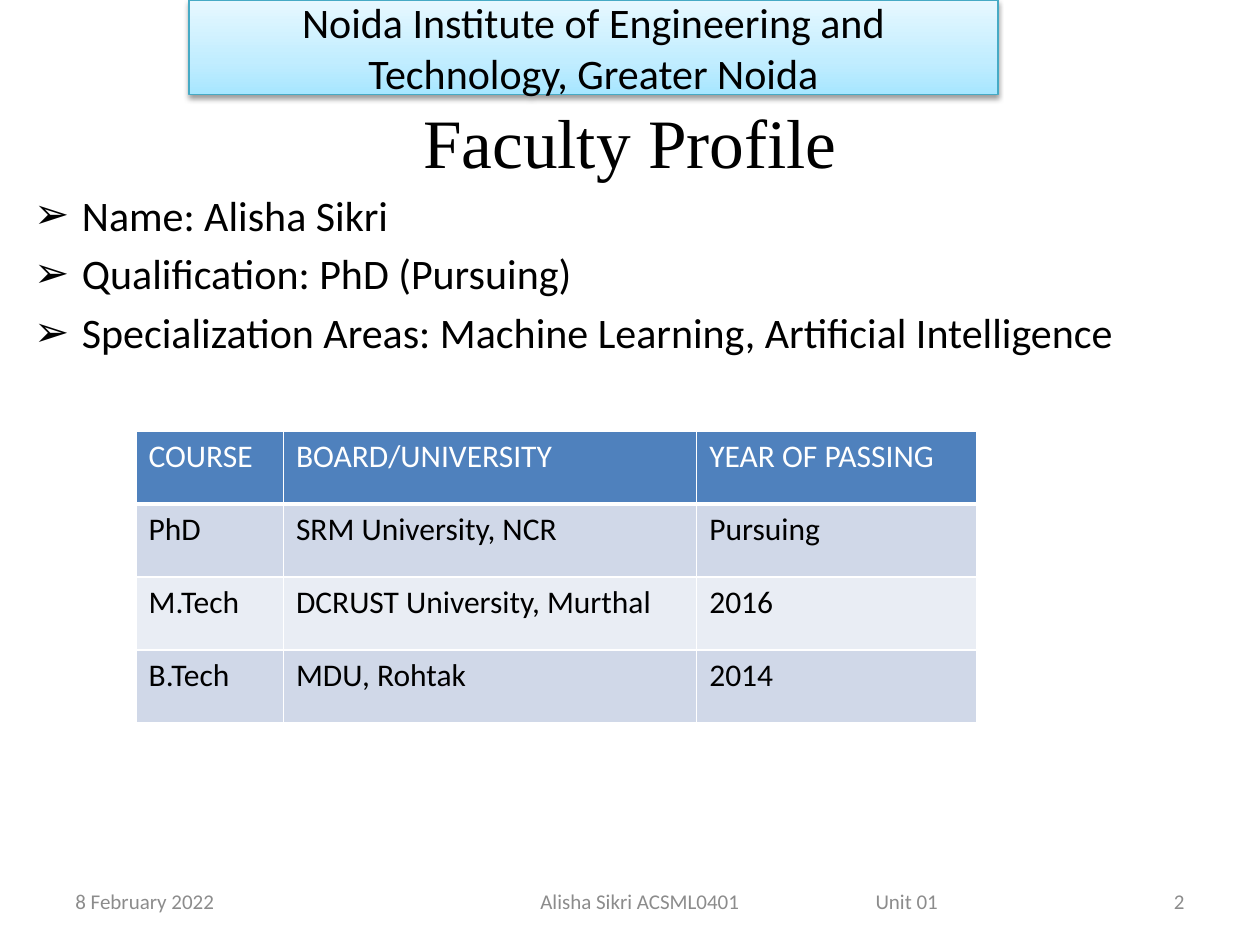
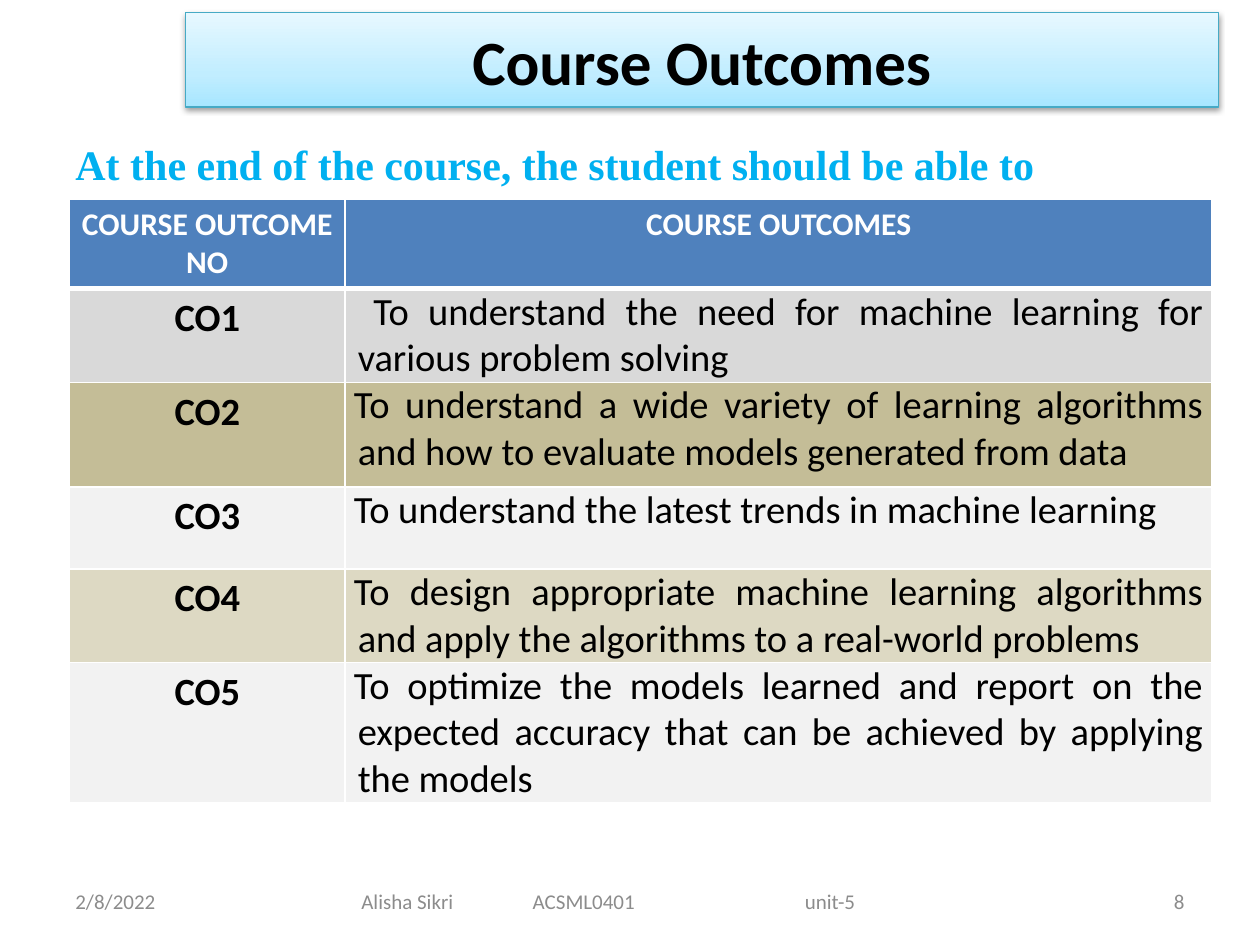
from pptx import Presentation
from pptx.dml.color import RGBColor
from pptx.enum.shapes import MSO_SHAPE
from pptx.enum.text import MSO_ANCHOR, MSO_AUTO_SIZE, PP_ALIGN
from pptx.oxml import parse_xml
from pptx.oxml.ns import nsdecls, qn
from pptx.util import Emu, Inches, Pt

LEFT, CENTER, RIGHT, JUSTIFY = PP_ALIGN.LEFT, PP_ALIGN.CENTER, PP_ALIGN.RIGHT, PP_ALIGN.JUSTIFY
TOP, MIDDLE, BOTTOM = MSO_ANCHOR.TOP, MSO_ANCHOR.MIDDLE, MSO_ANCHOR.BOTTOM
SANS, SERIF = "Calibri", "Times New Roman"

COLORS = {
    "black": "000000", "white": "FFFFFF", "footer": "8C8C8C", "lead": "00B0F0",
    "header": "4F81BD", "band_dark": "D0D8E8", "band_light": "E9EDF4",
    "gray": "D9D9D9", "tan": "C4BD97", "pale": "F2F2F2", "sand": "DDD9C3",
    "banner_line": "46AAC5",
}
BANNER_STOPS = [(0, "A7E6FF"), (35, "C1EDFF"), (100, "E7F8FF")]

INSTITUTE = "Noida Institute of Engineering and Technology, Greater Noida"
PROFILE_TITLE = "Faculty Profile"
PROFILE = [
    "Name: Alisha Sikri",
    "Qualification: PhD (Pursuing)",
    "Specialization Areas: Machine Learning, Artificial Intelligence",
]
DEGREES = [
    ("COURSE", "BOARD/UNIVERSITY", "YEAR OF PASSING"),
    ("PhD", "SRM University, NCR", "Pursuing"),
    ("M.Tech", "DCRUST University, Murthal", "2016"),
    ("B.Tech", "MDU, Rohtak", "2014"),
]
DEGREE_FILLS = ["header", "band_dark", "band_light", "band_dark"]

OUTCOMES_TITLE = "Course Outcomes"
OUTCOMES_LEAD = "At the end of the course, the student should be able to"
OUTCOMES = [
    ("COURSE OUTCOME NO", "COURSE OUTCOMES"),
    ("CO1", " To understand the need for machine learning for various problem solving"),
    ("CO2", "To understand a wide variety of learning algorithms and how to evaluate "
            "models generated from data"),
    ("CO3", "To understand the latest trends in machine learning"),
    ("CO4", "To design appropriate machine learning algorithms and apply the algorithms "
            "to a real-world problems"),
    ("CO5", "To optimize the models learned and report on the expected accuracy that can "
            "be achieved by applying the models"),
]
OUTCOME_FILLS = ["header", "gray", "tan", "pale", "sand", "pale"]

# Footer parts are (text, left edge in inches)
PROFILE_FOOTER = {"date": "8 February 2022", "number": "2", "box": (3.42, 4.92),
                  "parts": [("Alisha Sikri ACSML0401", 4.29), ("Unit 01", 6.95)]}
OUTCOMES_FOOTER = {"date": "2/8/2022", "number": "8", "box": (0.58, 8.5),
                   "parts": [("Alisha Sikri", 2.87), ("ACSML0401", 4.23), ("unit-5", 6.39)]}


def add_xml(parent, tag, attributes="", inner=""):
    element = parse_xml(f"<a:{tag} {nsdecls('a')} {attributes}>{inner}</a:{tag}>")
    parent.append(element)
    return element


def write(text_frame, lines, size=18, font=SANS, color="black", bold=False, align=LEFT,
          anchor=None, hanging=0, bullet=None, tabs=()):
    """Fill a text frame or table cell frame; hanging and tabs are in inches."""
    if anchor is not None:
        text_frame.word_wrap = True
        text_frame.auto_size = MSO_AUTO_SIZE.NONE
        text_frame.vertical_anchor = anchor
    for index, line in enumerate(lines):
        paragraph = text_frame.add_paragraph() if index else text_frame.paragraphs[0]
        paragraph.alignment = align
        run = paragraph.add_run()
        run.text = line
        run.font.size, run.font.name, run.font.bold = Pt(size), font, bold
        run.font.color.rgb = RGBColor.from_string(COLORS[color])
        properties = paragraph._p.get_or_add_pPr()
        if hanging:
            properties.set("marL", str(Inches(hanging)))
            properties.set("indent", str(-Inches(hanging)))
        if bullet:
            add_xml(properties, "buChar", f'char="{bullet}"')
        if tabs:
            stops = "".join(f'<a:tab pos="{Inches(tab)}" algn="l"/>' for tab in tabs)
            add_xml(properties, "tabLst", inner=stops)


def place(shape, left, top, width, height):
    shape.left, shape.top = Inches(left), Inches(top)
    shape.width, shape.height = Inches(width), Inches(height)


def add_text(slide, box, lines, **text_format):
    shape = slide.shapes.add_textbox(*map(Inches, box))
    write(shape.text_frame, lines, **text_format)


def style_banner(shape, text, **text_format):
    """Give a shape the light blue gradient, thin outline, soft shadow and centred text."""
    shape.line.color.rgb = RGBColor.from_string(COLORS["banner_line"])
    shape.line.width = Pt(0.75)
    shape.shadow.inherit = False
    properties = shape._element.spPr
    stops = "".join(f'<a:gs pos="{position * 1000}"><a:srgbClr val="{color}"/></a:gs>'
                    for position, color in BANNER_STOPS)
    gradient = add_xml(properties, "gradFill", 'rotWithShape="1"',
                       f'<a:gsLst>{stops}</a:gsLst><a:lin ang="16200000" scaled="0"/>')
    properties.find(qn("a:ln")).addprevious(gradient)
    add_xml(properties.find(qn("a:effectLst")), "outerShdw",
            f'blurRad="{Pt(3.1)}" dist="{Pt(1.6)}" dir="5400000" rotWithShape="0"',
            '<a:srgbClr val="000000"><a:alpha val="38000"/></a:srgbClr>')
    write(shape.text_frame, [text], align=CENTER, anchor=MIDDLE, **text_format)


def add_footer(slide, date, number, box, parts):
    left, width = box
    row = {"size": 12, "color": "footer", "anchor": MIDDLE}
    add_text(slide, (0.5, 6.95, 2.33, 0.4), [date], **row)
    add_text(slide, (left, 6.95, width, 0.4), ["".join("\t" + text for text, _ in parts)],
             tabs=[start - left - 0.1 for _, start in parts], **row)
    add_text(slide, (7.17, 6.95, 2.33, 0.4), [number], align=RIGHT, **row)


def add_grid(slide, position, rows, fills, widths, heights, cell_format):
    """Add a white-ruled table; cell_format(row, column) gives the text format of a cell."""
    table = slide.shapes.add_table(len(rows), len(widths), *map(Inches, position),
                                   Inches(sum(widths)), Inches(sum(heights))).table
    for column, width in zip(table.columns, widths):
        column.width = Inches(width)
    for row, height in zip(table.rows, heights):
        row.height = Inches(height)
    for row, texts in enumerate(rows):
        for column, text in enumerate(texts):
            cell = table.cell(row, column)
            properties = cell._tc.get_or_add_tcPr()
            for edge in ("lnL", "lnR", "lnT", "lnB"):
                weight = 3 if row == 0 and edge == "lnB" else 1
                add_xml(properties, edge, f'w="{Pt(weight)}"',
                        '<a:solidFill><a:srgbClr val="FFFFFF"/></a:solidFill>')
            cell.fill.solid()
            cell.fill.fore_color.rgb = RGBColor.from_string(COLORS[fills[row]])
            write(cell.text_frame, [text], **cell_format(row, column))
    return table


def degree_format(row, column):
    return {"color": "black" if row else "white"}


def outcome_format(row, column):
    if row == 0:
        return {"color": "white", "bold": True, "align": CENTER}
    if column == 0:
        return {"size": 22, "bold": True, "align": CENTER}
    return {"size": 22, "align": JUSTIFY, "hanging": 0.03}


def build_profile(presentation):
    slide = presentation.slides.add_slide(presentation.slide_layouts[1])
    title, body = slide.shapes.title, slide.placeholders[1]
    place(title, 0.5, 0.2, 9, 1.25)
    title.text_frame.margin_bottom = Emu(0)
    write(title.text_frame, [PROFILE_TITLE], size=39.6, font=SERIF, align=CENTER, anchor=BOTTOM)
    place(body, 0.17, 1.45, 9.67, 5.64)
    write(body.text_frame, PROFILE, size=24, align=JUSTIFY, anchor=TOP, hanging=0.38, bullet="➢")
    add_footer(slide, **PROFILE_FOOTER)
    banner = slide.shapes.add_shape(MSO_SHAPE.RECTANGLE, *map(Inches, (1.5, 0, 6.42, 0.75)))
    style_banner(banner, INSTITUTE, size=24)
    add_grid(slide, (1.08, 3.42), DEGREES, DEGREE_FILLS, [1.17, 3.28, 2.22],
             [0.58] * len(DEGREES), degree_format)


def build_outcomes(presentation):
    slide = presentation.slides.add_slide(presentation.slide_layouts[5])
    place(slide.shapes.title, 1.47, 0.1, 8.2, 0.75)
    style_banner(slide.shapes.title, OUTCOMES_TITLE, size=36, bold=True)
    add_text(slide, (0.5, 1.05, 7.92, 0.5), [OUTCOMES_LEAD], size=24, font=SERIF,
             color="lead", bold=True, anchor=TOP)
    table = add_grid(slide, (0.55, 1.58), OUTCOMES, OUTCOME_FILLS, [2.19, 6.88],
                     [0.7, 0.65, 0.83, 0.65, 0.65, 0.65], outcome_format)
    for row in range(1, len(OUTCOMES)):
        cell = table.cell(row, 1)
        cell.margin_left = cell.margin_right = Inches(0.07)
        cell.margin_top = cell.margin_bottom = Emu(0)
    add_footer(slide, **OUTCOMES_FOOTER)


def main():
    presentation = Presentation()
    presentation.slide_width, presentation.slide_height = Inches(10), Inches(7.5)
    build_profile(presentation)
    build_outcomes(presentation)
    presentation.save("out.pptx")


if __name__ == "__main__":
    main()
